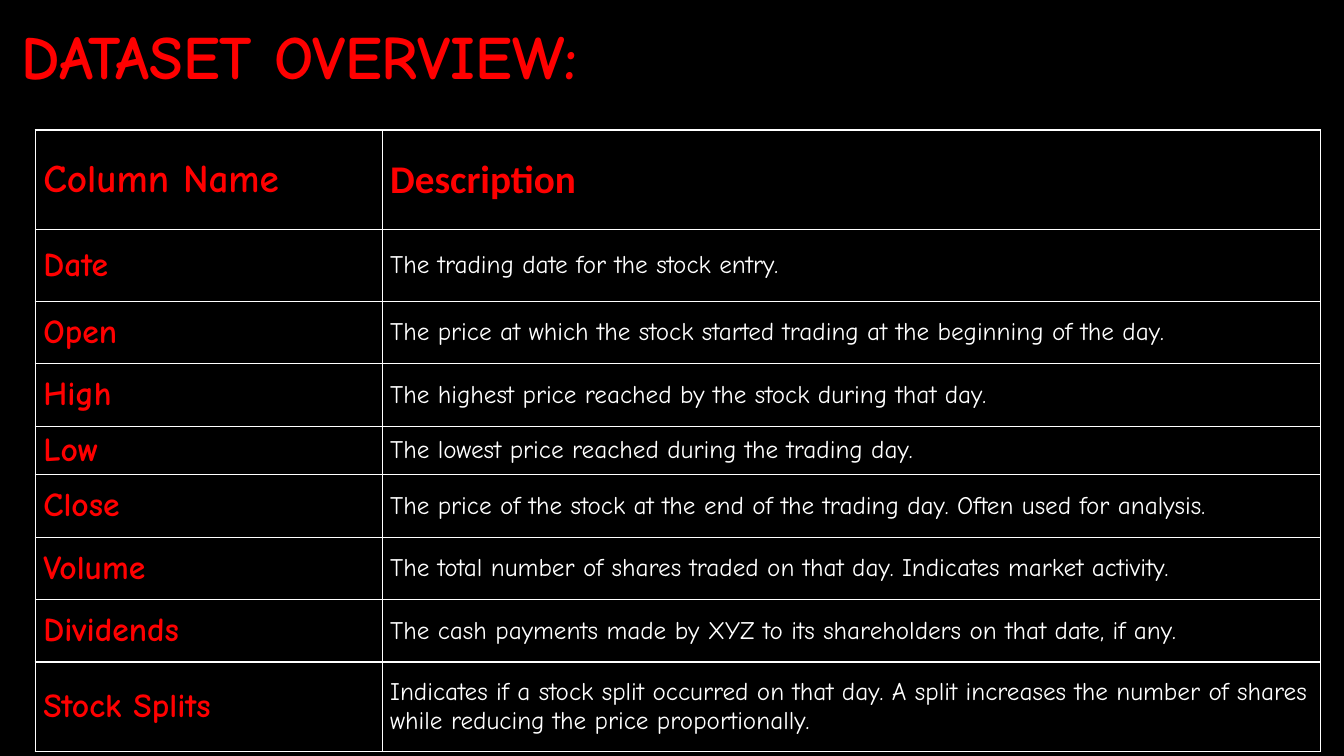
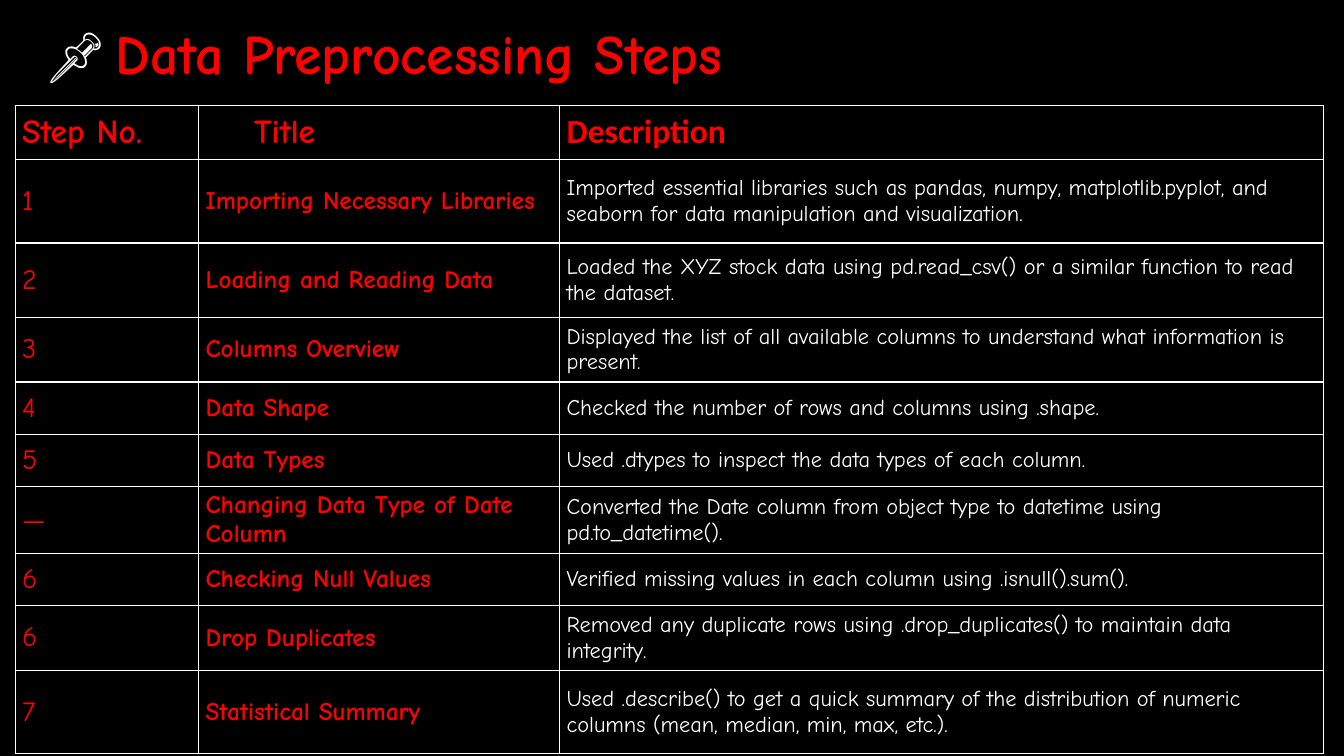
from dataclasses import dataclass

from lxml import etree
from pptx import Presentation
from pptx.dml.color import RGBColor
from pptx.enum.text import MSO_ANCHOR
from pptx.oxml.ns import qn
from pptx.util import Emu, Pt

MIDDLE = MSO_ANCHOR.MIDDLE
BLACK, RED, WHITE = "000000", "FF0000", "FFFFFF"
COMIC, CALIBRI = "Comic Neue", "Calibri"
EMU_PER_PX = 9144  # 100 px to the inch
BORDER_SIDES = ("a:lnL", "a:lnR", "a:lnT", "a:lnB")


@dataclass(frozen=True)
class TextStyle:
    size: float
    color: str = RED
    bold: bool = True
    font: str = COMIC


@dataclass(frozen=True)
class Column:
    name: str
    width: int
    body: TextStyle
    header_font: str = COMIC
    header_indent: int = 0


@dataclass(frozen=True)
class TableSpec:
    left: int
    top: int
    columns: tuple[Column, ...]
    header_size: int
    row_heights: tuple[int, ...]
    inset_x: int
    inset_y: int
    rows: tuple[tuple[str, ...], ...]


@dataclass(frozen=True)
class SlideSpec:
    title_box: tuple[int, int, int, int]
    title: tuple[tuple[str, TextStyle], ...]
    table: TableSpec


def px(value: int) -> Emu:
    return Emu(value * EMU_PER_PX)


def rgb(color: str) -> RGBColor:
    return RGBColor.from_string(color)


def set_font(font, style: TextStyle) -> None:
    font.size, font.bold, font.name = Pt(style.size), style.bold, style.font
    font.color.rgb = rgb(style.color)


def add_title(s, box: tuple[int, int, int, int],
              runs: tuple[tuple[str, TextStyle], ...]) -> None:
    tf = s.shapes.add_textbox(*map(px, box)).text_frame
    tf.word_wrap = True
    tf.vertical_anchor = MIDDLE
    p = tf.paragraphs[0]
    p.line_spacing = 0.9
    for text, style in runs:
        r = p.add_run()
        r.text = text
        set_font(r.font, style)


def set_borders(cell, color: str, width: int) -> None:
    tc_pr = cell._tc.get_or_add_tcPr()
    for side in BORDER_SIDES:
        line = etree.SubElement(tc_pr, qn(side), w=str(width))
        fill = etree.SubElement(line, qn("a:solidFill"))
        etree.SubElement(fill, qn("a:srgbClr"), val=color)


def fill_cell(cell, text: str, style: TextStyle, table: TableSpec, indent: int = 0) -> None:
    set_borders(cell, WHITE, Pt(1))
    cell.fill.solid()
    cell.fill.fore_color.rgb = rgb(BLACK)
    cell.margin_left = cell.margin_right = px(table.inset_x)
    cell.margin_top = cell.margin_bottom = px(table.inset_y)
    cell.vertical_anchor = MIDDLE
    p = cell.text_frame.paragraphs[0]
    p.text = text
    if indent:
        p._p.get_or_add_pPr().set("marL", str(px(indent)))
    set_font(p.font, style)


def add_table(s, spec: TableSpec) -> None:
    width = sum(column.width for column in spec.columns)
    frame = s.shapes.add_table(len(spec.row_heights), len(spec.columns), px(spec.left),
                               px(spec.top), px(width), px(sum(spec.row_heights)))
    table = frame.table
    table.first_row = table.horz_banding = False
    for row, height in zip(table.rows, spec.row_heights):
        row.height = px(height)
    for c, column in enumerate(spec.columns):
        table.columns[c].width = px(column.width)
        header = TextStyle(spec.header_size, font=column.header_font)
        fill_cell(table.cell(0, c), column.name, header, spec, column.header_indent)
        for r, texts in enumerate(spec.rows, start=1):
            fill_cell(table.cell(r, c), texts[c], column.body, spec)


DATASET = TableSpec(
    left=35, top=129, header_size=28, inset_x=8, inset_y=4,
    columns=(
        Column("Column Name", 344, TextStyle(24)),
        Column("Description", 931, TextStyle(18, WHITE, False), CALIBRI),
    ),
    row_heights=(99, 71, 62, 62, 47, 62, 62, 62, 89),
    rows=(
        ("Date", "The trading date for the stock entry."),
        ("Open", "The price at which the stock started trading at the beginning of the day."),
        ("High", "The highest price reached by the stock during that day."),
        ("Low", "The lowest price reached during the trading day."),
        ("Close", "The price of the stock at the end of the trading day. "
                  "Often used for analysis."),
        ("Volume", "The total number of shares traded on that day. Indicates market activity."),
        ("Dividends", "The cash payments made by XYZ to its shareholders on that date, if any."),
        ("Stock Splits", "Indicates if a stock split occurred on that day. A split increases "
                         "the number of shares while reducing the price proportionally."),
    ),
)

PREPROCESSING = TableSpec(
    left=15, top=105, header_size=24, inset_x=7, inset_y=3,
    columns=(
        Column("Step No.", 182, TextStyle(20, bold=False)),
        Column("Title", 358, TextStyle(18), header_indent=48),
        Column("Description", 758, TextStyle(16, WHITE, False), CALIBRI),
    ),
    row_heights=(53, 83, 74, 64, 52, 52, 66, 52, 64, 83),
    rows=(
        ("1", "Importing Necessary Libraries",
         "Imported essential libraries such as pandas, numpy, matplotlib.pyplot, and seaborn "
         "for data manipulation and visualization."),
        ("2", "Loading and Reading Data",
         "Loaded the XYZ stock data using pd.read_csv() or a similar function to read "
         "the dataset."),
        ("3", "Columns Overview",
         "Displayed the list of all available columns to understand what information is "
         "present."),
        ("4", "Data Shape", "Checked the number of rows and columns using .shape."),
        ("5", "Data Types", "Used .dtypes to inspect the data types of each column."),
        ("—", "Changing Data Type of Date Column",
         "Converted the Date column from object type to datetime using pd.to_datetime()."),
        ("6", "Checking Null Values",
         "Verified missing values in each column using .isnull().sum()."),
        ("6", "Drop Duplicates",
         "Removed any duplicate rows using .drop_duplicates() to maintain data integrity."),
        ("7", "Statistical Summary",
         "Used .describe() to get a quick summary of the distribution of numeric columns "
         "(mean, median, min, max, etc.)."),
    ),
)

SLIDES = (
    SlideSpec((12, 19, 1230, 80), (("DATASET OVERVIEW:", TextStyle(44)),), DATASET),
    SlideSpec((38, 25, 1204, 62),
              (("📌 ", TextStyle(39.6, WHITE, False, CALIBRI)),
               ("Data Preprocessing Steps", TextStyle(39.6))),
              PREPROCESSING),
)


def main() -> None:
    prs = Presentation()
    prs.slide_width, prs.slide_height = px(1333), px(750)
    background = prs.slide_master.background.fill
    background.solid()
    background.fore_color.rgb = rgb(BLACK)
    for spec in SLIDES:
        s = prs.slides.add_slide(prs.slide_layouts[6])
        add_title(s, spec.title_box, spec.title)
        add_table(s, spec.table)
    prs.save("out.pptx")


if __name__ == "__main__":
    main()
